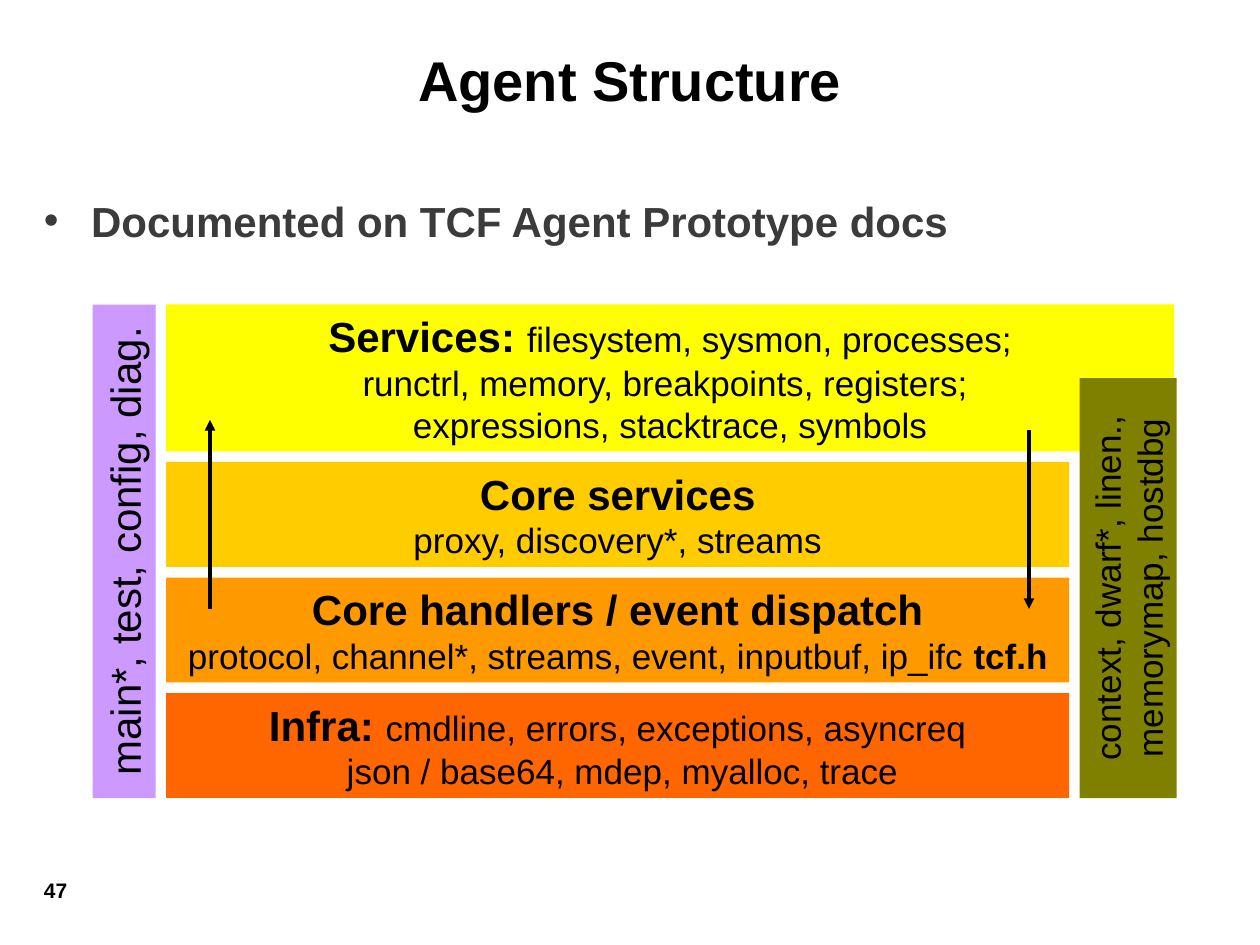
from lxml import etree
from pptx import Presentation
from pptx.dml.color import RGBColor
from pptx.enum import shapes, text
from pptx.oxml import ns
from pptx.util import Pt

HUES = {"ink": "000000", "grey": "3B3B3B", "top": "FFFF00", "core": "FFCC00",
        "hand": "FF9900", "infra": "FF6600", "side": "CC99FF", "sym": "808000"}
MID = text.PP_ALIGN.CENTER
GAP = 6


def hue(name):
    """Look up a colour by name."""
    return RGBColor.from_string(HUES[name])


def fill_text(shape, runs, align=None, before=0, ink="ink"):
    """Write (words, size, bold) runs as one paragraph; newlines break lines."""
    frame = shape.text_frame
    frame.word_wrap = True
    frame.vertical_anchor = text.MSO_ANCHOR.TOP
    para = frame.paragraphs[0]
    para.alignment = align
    para.space_before = Pt(before)
    for words, size, bold in runs:
        for i, line in enumerate(words.split("\n")):
            if i:
                para.add_line_break()
            if line:
                run = para.add_run()
                run.text = line
                font = run.font
                font.name, font.size, font.bold = "Arial", Pt(size), bold
                font.color.rgb = hue(ink)
    return para


def label(slide, box, runs, **style):
    """Place a text box and return it with its paragraph."""
    shape = slide.shapes.add_textbox(*map(Pt, box))
    return shape, fill_text(shape, runs, **style)


def block(slide, box, color, runs, turn=False, before=12.5):
    """Place a filled block; a turned one reads upward within the same box."""
    x, y, w, h = box
    if turn:
        x, y, w, h = x + (w - h) / 2, y + (h - w) / 2, h, w
    shape = slide.shapes.add_shape(
        shapes.MSO_SHAPE.RECTANGLE, *map(Pt, (x, y, w, h)))
    shape.rotation = 270 if turn else 0
    shape.shadow.inherit = False
    shape.fill.solid()
    shape.fill.fore_color.rgb = hue(color)
    shape.line.fill.background()
    fill_text(shape, runs, MID, before)


def arrow(slide, x, start, end):
    """Draw a vertical arrow from start to end."""
    line = slide.shapes.add_connector(
        shapes.MSO_CONNECTOR.STRAIGHT, *map(Pt, (x, start, x, end)))
    line.line.color.rgb = hue("ink")
    line.line.width = Pt(2)
    edge = line._element.spPr.find(ns.qn("a:ln"))
    etree.SubElement(edge, ns.qn("a:tailEnd"), type="triangle")
    etree.SubElement(line._element.spPr, ns.qn("a:effectLst"))


def head(slide, box):
    """Place the title and the bullet line below it."""
    x, y, w, h = box
    title, _ = label(slide, (x, y, w, 54), [("Agent Structure", 32, True)], align=MID)
    title.text_frame.vertical_anchor = text.MSO_ANCHOR.MIDDLE
    _, para = label(slide, (x, y + 90, w, h - 90),
                    [("Documented on TCF Agent Prototype docs", 24, True)],
                    before=6, ink="grey")
    props = para._p.get_or_add_pPr()
    props.set("marL", str(Pt(27)))
    props.set("indent", str(-Pt(27)))
    etree.SubElement(props, ns.qn("a:buFont"), typeface="Arial")
    etree.SubElement(props, ns.qn("a:buChar"), char="•")


def stack(slide, box):
    """Place the layers, the two upright columns and the arrows."""
    x, y, w, h = box
    left = x + 36 + GAP
    wide = w - 36 - GAP
    block(slide, (left, y, wide, 84), "top", [
        ("Services: ", 24, True),
        ("filesystem, sysmon, processes;\nrunctrl, memory, breakpoints, registers; \n"
         "expressions, stacktrace, symbols", 20, False)])
    layers = [
        ("core", [("Core services\n", 24, True),
                  ("proxy, discovery*, streams", 20, False)]),
        ("hand", [("Core handlers / event dispatch\n", 24, True),
                  ("protocol, channel*, streams, event, inputbuf, ip_ifc ", 20, False),
                  ("tcf.h", 20, True)]),
        ("infra", [("Infra: ", 24, True),
                   ("cmdline, errors, exceptions, asyncreq\n"
                    " json / base64, mdep, myalloc, trace", 20, False)]),
    ]
    for i, (color, runs) in enumerate(layers):
        top = y + 84 + GAP + i * (60 + GAP)
        block(slide, (left, top, wide - 60, 60), color, runs)
    block(slide, (x + w - 54, y + 42, 55.4, h - 42), "sym",
          [("context, dwarf*, linen., memorymap, hostdbg", 20, False)], turn=True)
    block(slide, (x, y, 36, h), "side",
          [("main*, test, config, diag.", 24, False)], turn=True, before=15)
    arrow(slide, left + 25, y + 174, y + 66)
    arrow(slide, left + 493, y + 72, y + 174)


def build():
    """Build and save the slide."""
    deck = Presentation()
    deck.slide_width, deck.slide_height = Pt(720), Pt(540)
    slide = deck.slides.add_slide(deck.slide_layouts[6])
    head(slide, (18, 18, 684, 234))
    stack(slide, (53, 174, 618, 282))
    label(slide, (18, 498, 90, 36), [("47", 12, True)])
    deck.save("out.pptx")


build()
